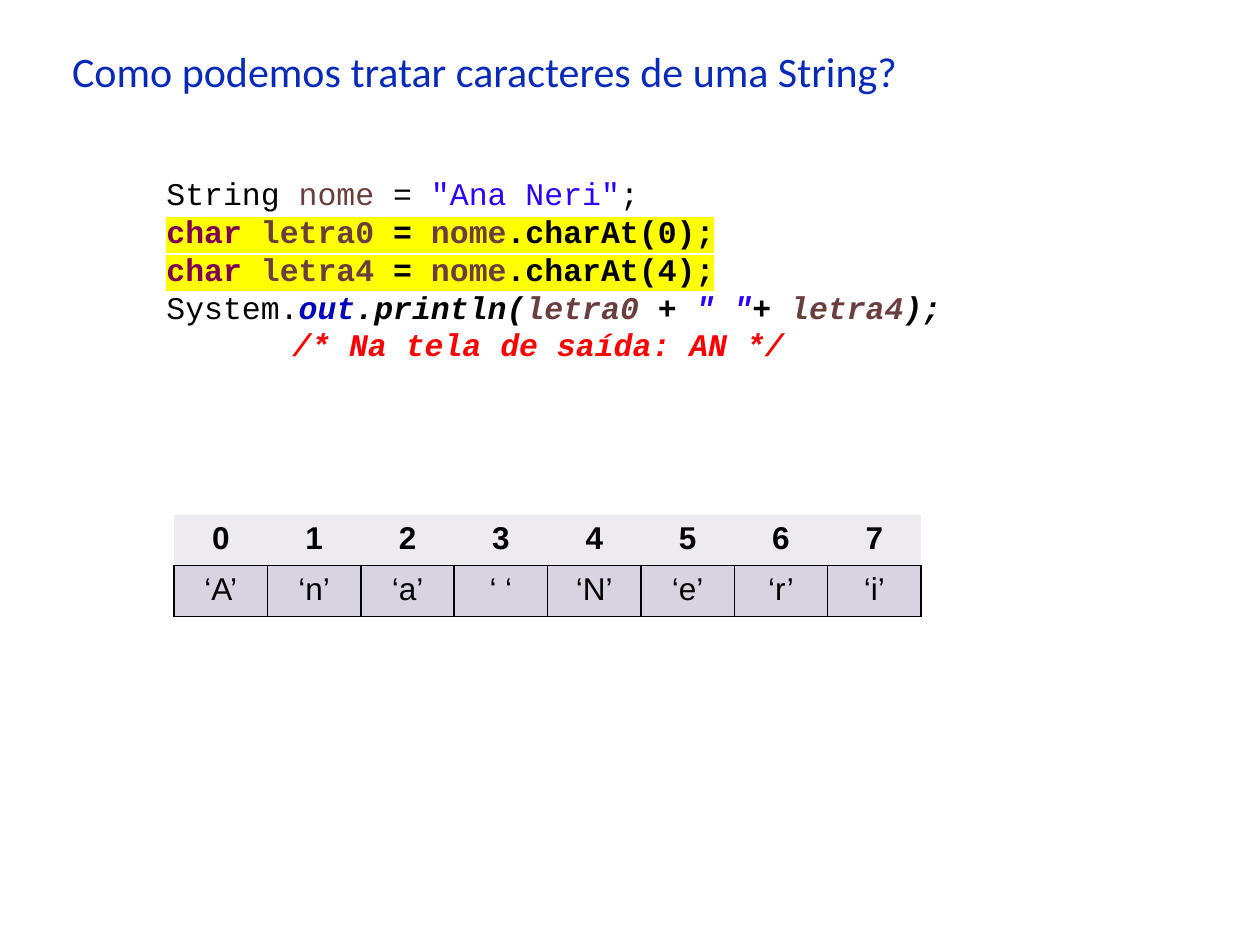
import pptx
import pptx.dml.color
import pptx.enum.text
import pptx.oxml
import pptx.oxml.ns
import pptx.util
from lxml import etree

Pt = pptx.util.Pt

COLORS = {
    "title": "082AB8",
    "plain": "000000",
    "variable": "6A3E3E",
    "string": "2A00FF",
    "keyword": "7F0055",
    "field": "0000C0",
    "comment": "FF0000",
    "highlight": "FFFF00",
    "index_fill": "EDEAF0",
    "letter_fill": "D8D3E0",
    "border": "000000",
}


def char_at_line(variable, index):
    return [("char", "keyword"), (" ", "plain"), (variable, "variable"), (" = ", "plain"),
            ("nome", "variable"), (f".charAt({index});", "plain")]


# Each line: its pieces, then the styles that all of its pieces share
CODE = [
    ([("String ", "plain"), ("nome", "variable"), (" = ", "plain"),
      ('"Ana Neri"', "string"), (";", "plain")], ""),
    (char_at_line("letra0", 0), "bold highlight"),
    (char_at_line("letra4", 4), "bold highlight"),
    ([("System.", "plain", "upright"), ("out", "field"), (".println(", "plain"),
      ("letra0", "variable"), (" + ", "plain"), ('" "', "string"), ("+ ", "plain"),
      ("letra4", "variable"), (");", "plain")], "bold italic"),
    ([("\t/* Na tela de saída: AN */", "comment")], "bold italic"),
]
LETTERS = ["‘A’", "‘n’", "‘a’", "‘ ‘", "‘N’", "‘e’", "‘r’", "‘i’"]


def rgb(name):
    return pptx.dml.color.RGBColor.from_string(COLORS[name])


def add_child(parent, tag, **attributes):
    return etree.SubElement(parent, pptx.oxml.ns.qn(tag), attributes)


def set_font(paragraph, name, size, bold=False, italic=False):
    font = paragraph.font
    font.name, font.size, font.bold, font.italic = name, Pt(size), bold, italic


def add_title(slide, text):
    title = slide.shapes.title
    title.left, title.top, title.width, title.height = Pt(34), Pt(22.5), Pt(519), Pt(62.5)
    title.text_frame.text = text
    title.text_frame.vertical_anchor = pptx.enum.text.MSO_ANCHOR.TOP
    paragraph = title.text_frame.paragraphs[0]
    paragraph.alignment = pptx.enum.text.PP_ALIGN.LEFT
    set_font(paragraph, "Calibri", 24)
    paragraph.font.color.rgb = rgb("title")


def add_code(slide, lines):
    frame = slide.shapes.add_textbox(Pt(88), Pt(96), Pt(572), Pt(116.5)).text_frame
    frame.word_wrap = True
    for number, (pieces, styles) in enumerate(lines):
        paragraph = frame.add_paragraph() if number else frame.paragraphs[0]
        if pieces[0][0].startswith("\t"):
            tabs = add_child(paragraph._p.get_or_add_pPr(), "a:tabLst")
            add_child(tabs, "a:tab", pos=str(Pt(72)), algn="l")
        set_font(paragraph, "Courier New", 18, "bold" in styles, "italic" in styles)
        for text, color, *upright in pieces:
            run = paragraph.add_run()
            run.text = text
            run.font.color.rgb = rgb(color)
            if upright:
                run.font.bold = run.font.italic = False
            if "highlight" in styles:
                highlight = add_child(run._r.get_or_add_rPr(), "a:highlight")
                add_child(highlight, "a:srgbClr", val=COLORS["highlight"])


def set_borders(cell, visible_sides):
    """Draw the sides named by letter (L, R, T, B) and hide the others."""
    properties = cell._tc.get_or_add_tcPr()
    for side in "LRTB":
        line = add_child(properties, f"a:ln{side}", w=str(Pt(1)))
        if side in visible_sides:
            fill = add_child(line, "a:solidFill")
            add_child(fill, "a:srgbClr", val=COLORS["border"])
        else:
            add_child(line, "a:noFill")


def add_letter_table(slide, letters):
    table = slide.shapes.add_table(2, len(letters), Pt(99.5), Pt(294),
                                   Pt(427), Pt(58.4)).table
    table.first_row = table.horz_banding = False
    rows = [
        (range(len(letters)), "index_fill", True, "B"),
        (letters, "letter_fill", False, "LRTB"),
    ]
    for row, (values, fill, bold, sides) in enumerate(rows):
        for column, value in enumerate(values):
            cell = table.cell(row, column)
            set_borders(cell, sides)
            cell.fill.solid()
            cell.fill.fore_color.rgb = rgb(fill)
            cell.text = str(value)
            paragraph = cell.text_frame.paragraphs[0]
            paragraph.alignment = pptx.enum.text.PP_ALIGN.CENTER
            set_font(paragraph, "Arial", 18, bold)
            paragraph.font.color.rgb = rgb("plain")


def main():
    deck = pptx.Presentation()
    deck.slide_width, deck.slide_height = Pt(720), Pt(540)
    slide = deck.slides.add_slide(deck.slide_layouts[5])
    add_title(slide, "Como podemos tratar caracteres de uma String?")
    add_code(slide, CODE)
    add_letter_table(slide, LETTERS)
    deck.save("out.pptx")


if __name__ == "__main__":
    main()
